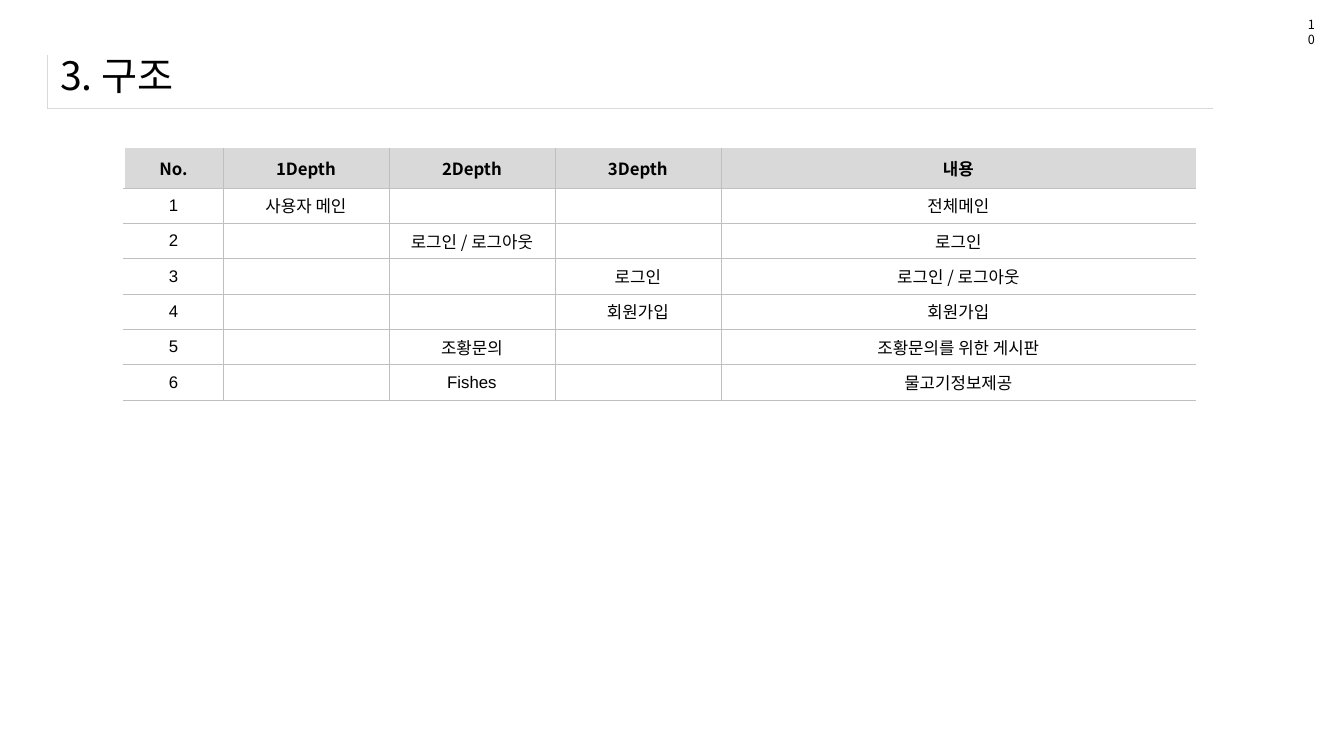
from dataclasses import dataclass

from lxml.etree import SubElement
from pptx import Presentation
from pptx.dml.color import RGBColor
from pptx.enum.text import MSO_ANCHOR, MSO_AUTO_SIZE, PP_ALIGN
from pptx.oxml.ns import qn
from pptx.util import Emu, Pt


@dataclass(frozen=True)
class Theme:
    korean: str = "Noto Sans CJK KR"
    latin: str = "Arial"
    ink: str = "000000"
    paper: str = "FFFFFF"
    header: str = "D9D9D9"
    grid: str = "BFBFBF"
    title_size: int = 28
    cell_size: int = 12
    page_size: int = 9
    hairline: float = 0.25
    edge: float = 1


HEADINGS = ["No.", "1Depth", "2Depth", "3Depth", "내용"]
PAGES = [
    ["1", "사용자 메인", "", "", "전체메인"],
    ["2", "", "로그인 / 로그아웃", "", "로그인"],
    ["3", "", "", "로그인", "로그인 / 로그아웃"],
    ["4", "", "", "회원가입", "회원가입"],
    ["5", "", "조황문의", "", "조황문의를 위한 게시판"],
    ["6", "", "Fishes", "", "물고기정보제공"],
]


def px(length):
    return Emu(round(length * 914400 / 100.8))


def write(frame, text, *, size, color, font, bold=False, align=PP_ALIGN.LEFT):
    paragraph = frame.paragraphs[0]
    paragraph.alignment = align
    if not text:
        return
    run = paragraph.add_run()
    run.text = text
    run.font.size = Pt(size)
    run.font.bold = bold
    run.font.name = font
    run.font.color.rgb = RGBColor.from_string(color)
    SubElement(run.font._element, qn("a:ea")).set("typeface", font)


class SlideBuilder:
    def __init__(self, slide, theme):
        self.slide = slide
        self.theme = theme

    def title(self, text, left, top, width, height):
        heading = self.slide.shapes.title
        heading.left, heading.top = px(left), px(top)
        heading.width, heading.height = px(width), px(height)
        frame = heading.text_frame
        frame.auto_size = MSO_AUTO_SIZE.NONE
        frame.vertical_anchor = MSO_ANCHOR.MIDDLE
        write(frame, text, size=self.theme.title_size, color=self.theme.ink,
              font=self.theme.korean)

    def page_number(self, text, left, top, width, height):
        box = self.slide.shapes.add_textbox(px(left), px(top), px(width), px(height))
        box.text_frame.word_wrap = True
        write(box.text_frame, text, size=self.theme.page_size,
              color=self.theme.ink, font=self.theme.korean)

    def table(self, left, top, widths, heights):
        rows, columns = len(heights), len(widths)
        table = self.slide.shapes.add_table(
            rows, columns, px(left), px(top), px(sum(widths)), px(sum(heights))).table
        table.first_row = table.horz_banding = False
        for column, width in zip(table.columns, widths):
            column.width = px(width)
        for row, height in zip(table.rows, heights):
            row.height = px(height)
        return table

    def borders(self, cell, **sides):
        properties = cell._tc.get_or_add_tcPr()
        for side in "LRTB":
            line = SubElement(properties, qn(f"a:ln{side}"))
            if sides.get(side):
                color, width = sides[side]
                line.set("w", str(Pt(width)))
                fill = SubElement(line, qn("a:solidFill"))
                SubElement(fill, qn("a:srgbClr")).set("val", color)
            else:
                SubElement(line, qn("a:noFill"))

    def title_frame(self, left, top, width, height):
        rule = (self.theme.header, self.theme.hairline)
        cell = self.table(left, top, [width], [height]).cell(0, 0)
        self.borders(cell, L=rule, B=rule)
        cell.fill.background()

    def structure_table(self, headings, pages, left, top, widths,
                        header_height, body_height):
        theme = self.theme
        grid = (theme.grid, theme.hairline)
        edge = (theme.paper, theme.edge)
        heights = [header_height] + [body_height / len(pages)] * len(pages)
        table = self.table(left, top, widths, heights)
        last = len(widths) - 1
        for row, texts in enumerate([headings, *pages]):
            is_header = row == 0
            for column, text in enumerate(texts):
                cell = table.cell(row, column)
                self.borders(cell, L=grid if column else edge,
                             R=None if column == last else grid,
                             T=None if is_header else grid, B=grid)
                if is_header:
                    cell.fill.solid()
                    cell.fill.fore_color.rgb = RGBColor.from_string(theme.header)
                else:
                    cell.fill.background()
                cell.vertical_anchor = MSO_ANCHOR.MIDDLE
                cell.margin_top = cell.margin_bottom = 0
                uses_latin = text.isascii() and not is_header
                write(cell.text_frame, text, size=theme.cell_size, color=theme.ink,
                      font=theme.latin if uses_latin else theme.korean,
                      bold=is_header, align=PP_ALIGN.CENTER)


def main():
    deck = Presentation()
    deck.slide_width, deck.slide_height = px(1344), px(756)
    slide = deck.slides.add_slide(deck.slide_layouts.get_by_name("Title Only"))
    builder = SlideBuilder(slide, Theme())
    builder.title_frame(47, 55, 1166, 53)
    builder.title("3. 구조", 50, 41, 1259, 67)
    builder.page_number("10", 1298, 12, 27, 25)
    builder.structure_table(HEADINGS, PAGES, 124, 148, [99, 166, 166, 166, 475],
                            header_height=40, body_height=212)
    deck.save("out.pptx")


if __name__ == "__main__":
    main()
